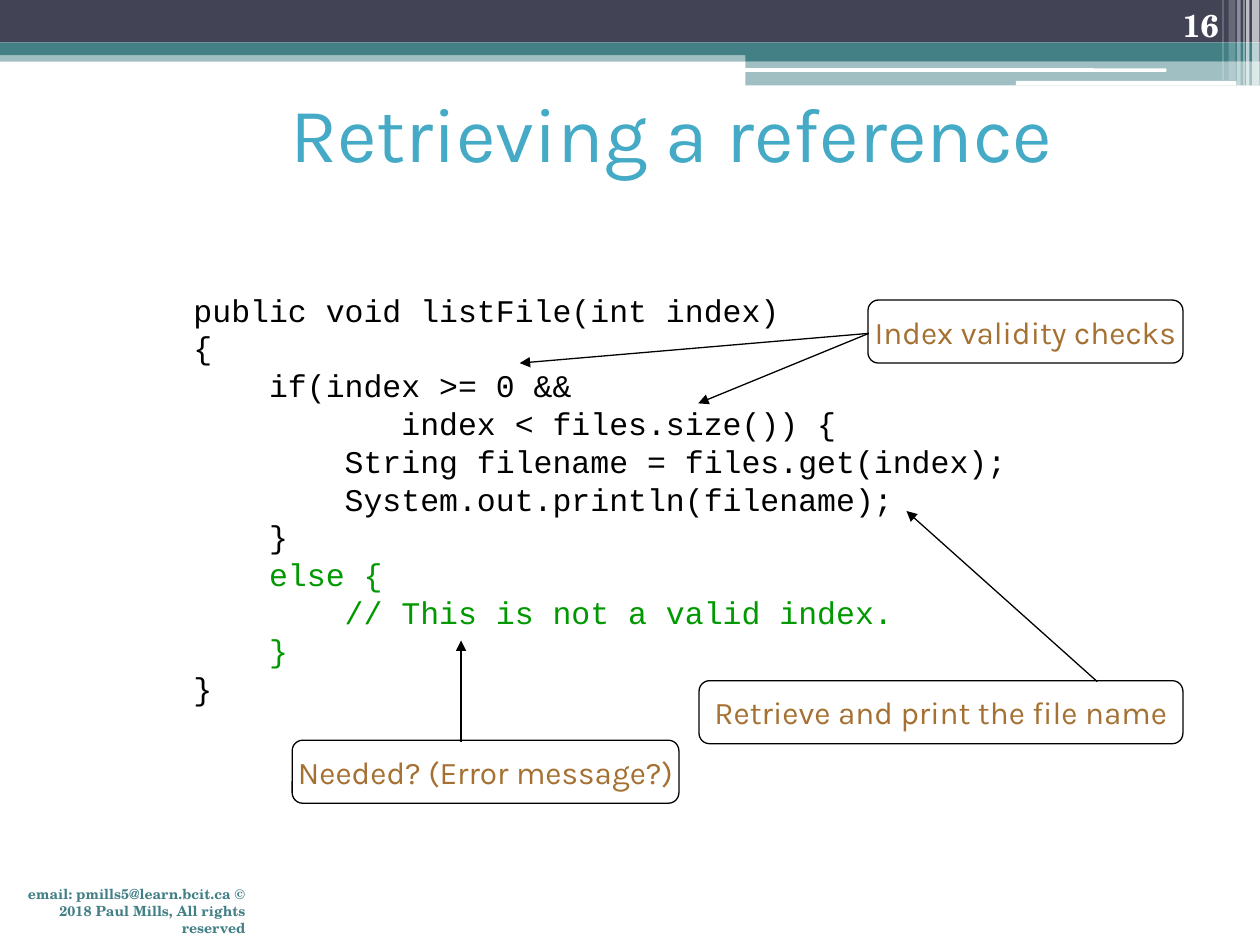
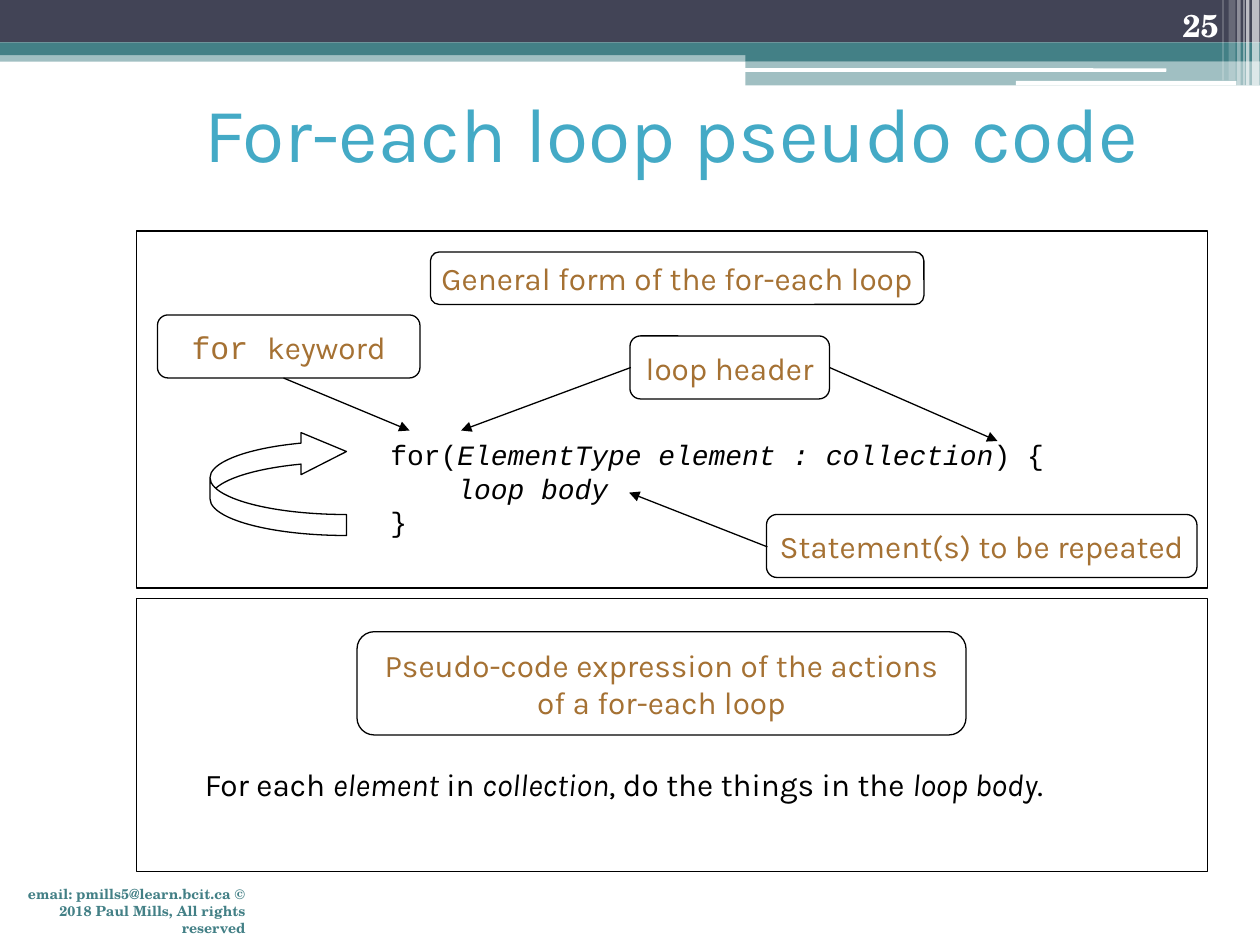
from lxml import etree
from pptx import Presentation
from pptx.dml.color import RGBColor
from pptx.enum.shapes import MSO_CONNECTOR, MSO_SHAPE
from pptx.enum.text import MSO_ANCHOR, PP_ALIGN
from pptx.oxml.ns import qn
from pptx.util import Pt

RECT, ROUNDED = MSO_SHAPE.RECTANGLE, MSO_SHAPE.ROUNDED_RECTANGLE
LOOP_ARROW = MSO_SHAPE.CURVED_LEFT_ARROW
STRAIGHT = MSO_CONNECTOR.STRAIGHT
LEFT, CENTER, RIGHT = PP_ALIGN.LEFT, PP_ALIGN.CENTER, PP_ALIGN.RIGHT
TOP, MIDDLE, BOTTOM = MSO_ANCHOR.TOP, MSO_ANCHOR.MIDDLE, MSO_ANCHOR.BOTTOM

BLACK = RGBColor(0x00, 0x00, 0x00)
WHITE = RGBColor(0xFF, 0xFF, 0xFF)
NAVY = RGBColor(0x42, 0x44, 0x56)
TEAL = RGBColor(0x43, 0x80, 0x86)
SKY = RGBColor(0x44, 0xAA, 0xC6)
BROWN = RGBColor(0xA5, 0x71, 0x33)
GREEN = RGBColor(0x00, 0x99, 0x00)

SANS, MONO, SERIF = "Karla", "Courier New", "TeX Gyre Schola"
FOOTER = "email: pmills5@learn.bcit.ca © 2018 Paul Mills, All rights reserved"

# kind, (left, top, width, height), colour, opacity in percent
BANDS = [
    (RECT, (0, 28.8, 720, 6.5), TEAL, 50),
    (RECT, (0, 0, 720, 24.3), NAVY, 100),
    (RECT, (0, 24.3, 720, 7.2), TEAL, 100),
    (RECT, (426, 28, 294, 7), TEAL, 100),
    (RECT, (426, 34.8, 294, 14), TEAL, 50),
    (ROUNDED, (425.5, 39, 241, 2), WHITE, 100),
    (ROUNDED, (580.5, 46.2, 126, 2.6), WHITE, 100),
    (RECT, (715.5, 0, 4.2, 48.8), WHITE, 65),
    (RECT, (712, 0, 2, 48.8), WHITE, 65),
    (RECT, (710.5, 0, 0.8, 48.8), WHITE, 60),
    (RECT, (707, 0, 2, 48.8), WHITE, 40),
    (RECT, (702, 0, 4, 46), WHITE, 20),
    (RECT, (698.5, 0, 0.7, 46), WHITE, 30),
]


def add_outline(page, kind, place):
    """Add an unfilled shape with a thin black line."""
    shape = page.shapes.add_shape(kind, *map(Pt, place))
    shape.shadow.inherit = False
    shape.fill.background()
    shape.line.color.rgb = BLACK
    shape.line.width = Pt(0.75)
    return shape


def write(box, lines, font, size, colour, align=LEFT, anchor=TOP, wrap=False, bold=False):
    """Fill a box; each line is a list of spans, and every second span is italic."""
    frame = box.text_frame
    frame.word_wrap = wrap
    frame.vertical_anchor = anchor
    for number, line in enumerate(lines):
        para = frame.add_paragraph() if number else frame.paragraphs[0]
        para.alignment = align
        if font == MONO:
            para.line_spacing = Pt(1.2 * size)
        for position, text in enumerate(line):
            span = para.add_run()
            span.text = text
            span.font.name = font
            span.font.size = Pt(size)
            span.font.color.rgb = colour
            span.font.bold = bold
            span.font.italic = position % 2 == 1


deck = Presentation()
deck.slide_width, deck.slide_height = Pt(720), Pt(540)

pages = []
for title, page_number in [("Retrieving a reference", "16"), ("For-each loop pseudo code", "25")]:
    page = deck.slides.add_slide(deck.slide_layouts[6])
    pages.append(page)
    for kind, place, colour, opacity in BANDS:
        band = page.shapes.add_shape(kind, *map(Pt, place))
        band.shadow.inherit = False
        band.line.fill.background()
        band.fill.solid()
        band.fill.fore_color.rgb = colour
        if opacity < 100:
            tint = band.fill._xPr.find(".//" + qn("a:srgbClr"))
            etree.SubElement(tint, qn("a:alpha"), val=str(opacity * 1000))
    title_box = page.shapes.add_textbox(Pt(78), Pt(30), Pt(612), Pt(90))
    write(title_box, [[title]], SANS, 44, SKY, CENTER, MIDDLE, wrap=True)
    footer_box = page.shapes.add_textbox(Pt(0), Pt(502.5), Pt(147.5), Pt(21))
    write(footer_box, [[FOOTER]], SERIF, 8, TEAL, RIGHT, wrap=True, bold=True)
    number_box = page.shapes.add_textbox(Pt(643.5), Pt(0), Pt(60), Pt(28.8))
    write(number_box, [[page_number]], SERIF, 18, WHITE, RIGHT, BOTTOM, wrap=True, bold=True)

reference_page, loop_page = pages

# Code of the first slide, with the else branch in green
METHOD = """public void listFile(int index)
{
    if(index >= 0 &&
           index < files.size()) {
        String filename = files.get(index);
        System.out.println(filename);
    }
    else {
        // This is not a valid index.
    }
}"""
method_box = reference_page.shapes.add_textbox(Pt(103.5), Pt(162.5), Pt(479), Pt(245))
write(method_box, [[line] for line in METHOD.split("\n")], MONO, 18, BLACK)
for para in method_box.text_frame.paragraphs[7:10]:
    para.runs[0].font.color.rgb = GREEN

# Frames, loop arrow and text of the second slide
for top, height in [(132, 204), (342, 156)]:
    add_outline(loop_page, RECT, (78, top, 612, height))
loop_arrow = add_outline(loop_page, LOOP_ARROW, (120, 246, 78, 60))
loop_arrow.rotation = 180
for position, share in enumerate((0.2, 0.4, 0.433)):
    loop_arrow.adjustments[position] = share

loop_box = loop_page.shapes.add_textbox(Pt(216), Pt(246.5), Pt(390), Pt(65))
write(loop_box, [["for(", "ElementType element : collection", ") {"],
                 ["    ", "loop body"],
                 ["}"]], MONO, 16, BLACK, wrap=True)
sentence_box = loop_page.shapes.add_textbox(Pt(110), Pt(433.5), Pt(545), Pt(29))
write(sentence_box, [["For each ", "element", " in ", "collection",
                      ", do the things in the ", "loop body", "."]], SANS, 18, BLACK)

LABELS = [
    (reference_page, "Index validity checks", (496, 171.5, 180, 36)),
    (reference_page, "Retrieve and print the file name", (399.5, 389, 276.5, 36)),
    (reference_page, "Needed? (Error message?)", (167, 423, 221, 36)),
    (loop_page, "General form of the for-each loop", (246, 144, 282, 30)),
    (loop_page, "loop header", (360, 192, 114, 36)),
    (loop_page, "Statement(s) to be repeated", (438, 294, 246, 36)),
    (loop_page, "Pseudo-code expression of the actions of a for-each loop", (204, 361, 348, 59)),
]
for page, text, place in LABELS:
    label = add_outline(page, ROUNDED, place)
    write(label, [[text]], SANS, 18, BROWN, CENTER, MIDDLE, wrap=place[3] > 36)

keyword_label = add_outline(loop_page, ROUNDED, (90, 180, 150, 36))
write(keyword_label, [["for ", "keyword"]], SANS, 18, BROWN, CENTER, MIDDLE)
code_span, word_span = keyword_label.text_frame.paragraphs[0].runs
code_span.font.name = MONO
word_span.font.italic = False

# page, start, end
ARROWS = [
    (reference_page, (496.5, 190.5), (297, 207.5)),
    (reference_page, (496.5, 190.5), (399, 230.5)),
    (reference_page, (627, 389.5), (518, 292)),
    (reference_page, (263.5, 424), (263.5, 366)),
    (loop_page, (360.5, 210), (263.5, 246)),
    (loop_page, (474, 210), (570, 252)),
    (loop_page, (162, 216), (234, 246)),
    (loop_page, (438.5, 312.5), (359.5, 281.5)),
]
for page, start, end in ARROWS:
    arrow = page.shapes.add_connector(STRAIGHT, *map(Pt, start + end))
    arrow.line.color.rgb = BLACK
    arrow.line.width = Pt(0.75)
    etree.SubElement(arrow.line._get_or_add_ln(), qn("a:tailEnd"), type="triangle")
    etree.SubElement(arrow._element.spPr, qn("a:effectLst"))

deck.save("out.pptx")
